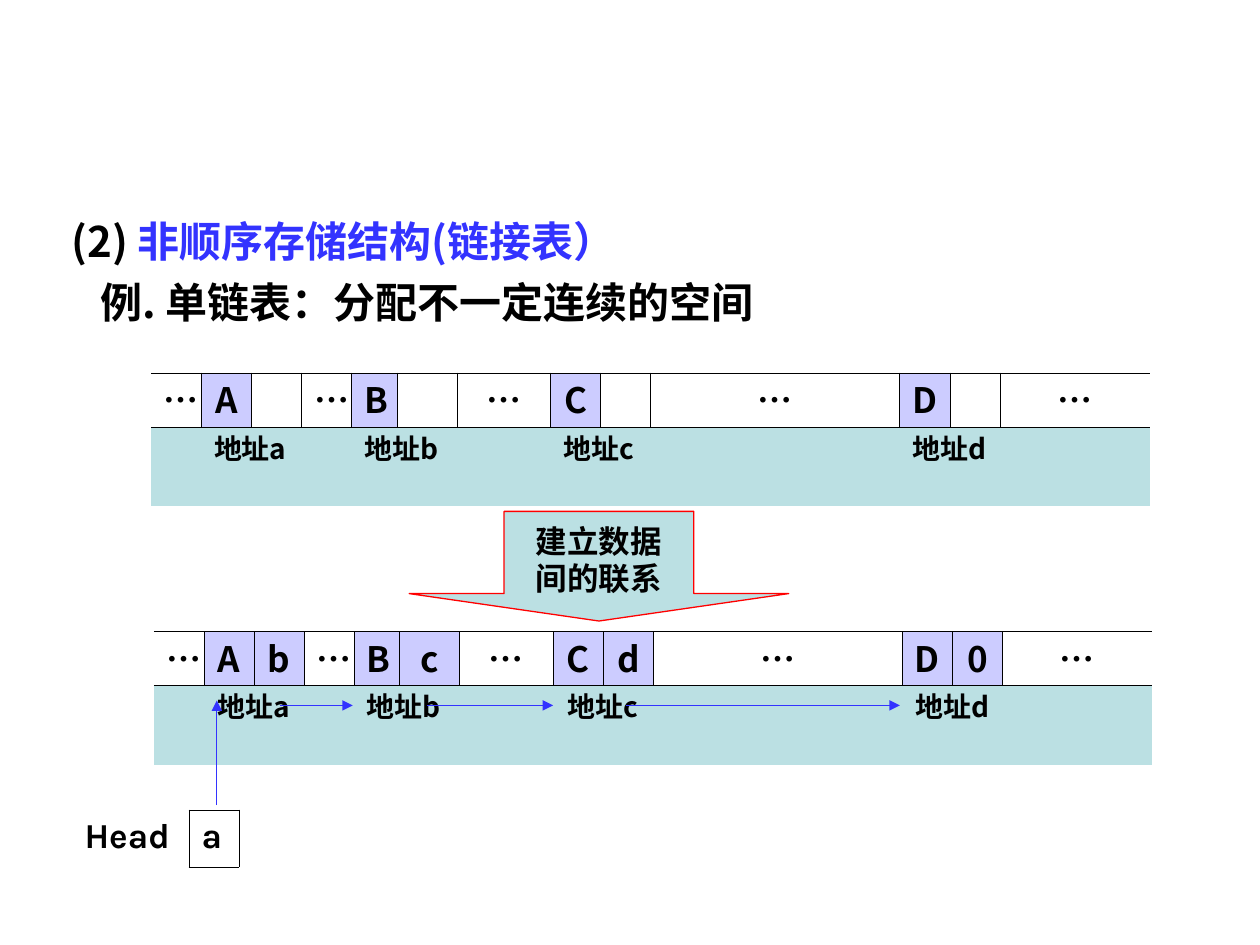
import pptx
import pptx.dml.color
import pptx.enum.shapes
import pptx.enum.text
import pptx.oxml.ns
import pptx.oxml.xmlchemy
import pptx.util

CJK = "Noto Sans CJK SC"
BLACK, BLUE, RED = "000000", "3333FF", "FF0000"
LILAC, TEAL = "CCCCFF", "BBE0E3"
PLAIN_STYLE = "{2D5ABB26-0587-4C30-8999-92F81FD0307C}"
COLUMNS = [1.01] * 4 + [0.92, 1.2, 1.89, 1.01, 1.01, 5.02, 1.01, 1.01, 3.02]
NODE_COLUMNS = [1, 4, 7, 10]
GAP_COLUMNS = [0, 3, 6, 9, 12]
CENTER = pptx.enum.text.PP_ALIGN.CENTER
LEFT = pptx.enum.text.PP_ALIGN.LEFT


def color(hex_value):
    return pptx.dml.color.RGBColor.from_string(hex_value)


def lengths(*values):
    return [pptx.util.Cm(value) for value in values]


def apply(target, values):
    for name, value in values.items():
        setattr(target, name, value)


def element(tag, **attributes):
    item = pptx.oxml.xmlchemy.OxmlElement(tag)
    for name, value in attributes.items():
        item.set(name, value)
    return item


def write(para, text, size, font=CJK, fill=BLACK, **layout):
    """Add one bold span; layout holds paragraph settings."""
    apply(para, layout)
    span = para.add_run()
    span.text = text
    apply(span.font, {"name": font, "size": pptx.util.Pt(size), "bold": True})
    span.font.color.rgb = color(fill)
    span.font._element.append(element("a:ea", typeface=CJK))


def paint(target, fill):
    target.fill.solid()
    target.fill.fore_color.rgb = color(fill)


def set_line(target, fill):
    target.line.color.rgb = color(fill)
    target.line.width = pptx.util.Pt(0.75)


def set_borders(cell, sides):
    properties = cell._tc.get_or_add_tcPr()
    for position, side in enumerate(s for s in "LRTB" if s in sides):
        line = element(f"a:ln{side}", w="5715")
        fill = element("a:solidFill")
        fill.append(element("a:srgbClr", val=BLACK))
        line.append(fill)
        properties.insert(position, line)


def add_plain_table(page, left, top, columns, rows):
    frame = page.shapes.add_table(len(rows), len(columns),
                                  *lengths(left, top, sum(columns), sum(rows)))
    table = frame.table
    apply(table, {"first_row": False, "horz_banding": False})
    table._tbl.tblPr.find(pptx.oxml.ns.qn("a:tableStyleId")).text = PLAIN_STYLE
    for column, width in zip(table.columns, lengths(*columns)):
        column.width = width
    for row, height in zip(table.rows, lengths(*rows)):
        row.height = height
    return table


def add_memory(page, left, top, links, alignments):
    """Draw a strip of memory cells with the addresses of its nodes below."""
    table = add_plain_table(page, left, top, COLUMNS, [1.09, 1.6])
    words = {column: "…" for column in GAP_COLUMNS}
    for column, name, link in zip(NODE_COLUMNS, "ABCD", links):
        words.update({column: name, column + 1: link})
    last = len(COLUMNS) - 1
    for column in range(len(COLUMNS)):
        data, address = table.cell(0, column), table.cell(1, column)
        for cell in (data, address):
            apply(cell, {"margin_top": 0, "margin_bottom": 0})
        if words[column]:
            write(data.text_frame.paragraphs[0], words[column], 20,
                  alignment=CENTER, space_before=pptx.util.Pt(5))
            if column not in GAP_COLUMNS:
                paint(data, LILAC)
        paint(address, TEAL)
        set_borders(data, {0: "RTB", last: "LTB"}.get(column, "LRTB"))
        set_borders(address, "T")
    for column, name, alignment in zip(NODE_COLUMNS, "abcd", alignments):
        cell = table.cell(1, column)
        cell.merge(table.cell(1, column + 1))
        write(cell.text_frame.paragraphs[0], f"地址{name}", 16,
              alignment=alignment, space_before=pptx.util.Pt(4))


def add_head(page):
    table = add_plain_table(page, 1.45, 16.33, [2.36, 1.01], [1.15])
    for column, text in enumerate(("Head", "a")):
        write(table.cell(0, column).text_frame.paragraphs[0], text, 20,
              "Karla", space_before=pptx.util.Pt(5))
    set_borders(table.cell(0, 1), "LRTB")


def add_arrow(page, x1, y1, x2, y2):
    arrow = page.shapes.add_connector(pptx.enum.shapes.MSO_CONNECTOR.STRAIGHT,
                                      *lengths(x1, y1, x2, y2))
    set_line(arrow, BLUE)
    arrow.line._get_or_add_ln().append(element("a:tailEnd", type="triangle"))
    arrow._element.spPr.append(element("a:effectLst"))


def add_heading(page):
    box = page.shapes.add_textbox(*lengths(1.19, 4.22, 20.7, 2.9))
    box.text_frame.word_wrap = True
    gap = {"space_before": pptx.util.Pt(6)}
    title = box.text_frame.paragraphs[0]
    write(title, "(2) ", 24, **gap)
    write(title, "非顺序存储结构(链接表）", 24, fill=BLUE)
    example = box.text_frame.add_paragraph()
    write(example, "例. 单链表：分配不一定连续的空间", 24, **gap)
    example._p.get_or_add_pPr().set("marL", str(pptx.util.Cm(0.58)))


def add_block_arrow(page):
    arrow = page.shapes.add_shape(pptx.enum.shapes.MSO_SHAPE.DOWN_ARROW,
                                  *lengths(8.25, 10.31, 7.65, 2.21))
    arrow.adjustments[0], arrow.adjustments[1] = 0.5, 0.25
    arrow.shadow.inherit = False
    paint(arrow, TEAL)
    set_line(arrow, RED)
    frame = arrow.text_frame
    apply(frame, {"word_wrap": False,
                  "vertical_anchor": pptx.enum.text.MSO_ANCHOR.MIDDLE})
    write(frame.paragraphs[0], "建立数据", 18, "Arial", alignment=CENTER)
    write(frame.add_paragraph(), "间的联系", 18, "Arial", alignment=CENTER)


def main():
    deck = pptx.Presentation()
    width, height = lengths(25.4, 19.05)
    apply(deck, {"slide_width": width, "slide_height": height})
    page = deck.slides.add_slide(deck.slide_layouts[6])
    add_heading(page)
    add_memory(page, 3.1, 12.73, "bcd0", [CENTER, LEFT, CENTER, CENTER])
    for start, end in ((5.64, 7.11), (8.61, 11.15), (12.62, 18.14)):
        add_arrow(page, start, 14.22, end, 14.22)
    add_head(page)
    add_arrow(page, 4.37, 16.23, 4.37, 14.12)
    add_memory(page, 3.05, 7.52, [""] * 4, [LEFT] * 4)
    add_block_arrow(page)
    deck.save("out.pptx")


if __name__ == "__main__":
    main()
